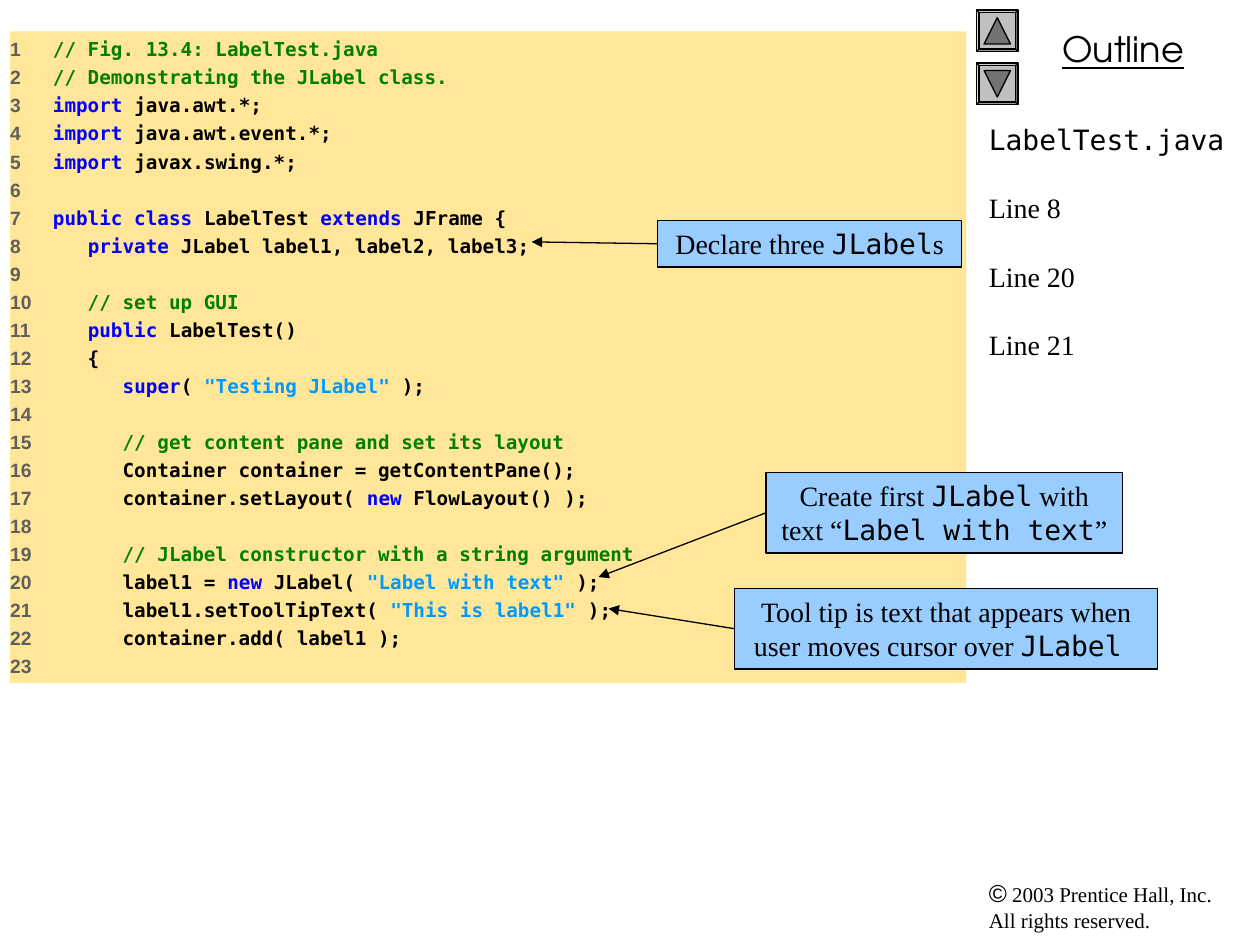
from pptx import Presentation
from pptx.dml.color import RGBColor
from pptx.enum.shapes import MSO_CONNECTOR, MSO_SHAPE
from pptx.enum.text import MSO_ANCHOR, PP_ALIGN
from pptx.oxml.ns import qn
from pptx.util import Inches, Pt
from lxml.etree import SubElement

MONO, SERIF, SANS, DISPLAY = "DejaVu Sans Mono", "Times New Roman", "Arial", "TeX Gyre Adventor"
BLACK, NUMBER, COMMENT, KEYWORD, STRING = "000000", "5F5F5F", "008000", "0000FF", "0099FF"
PANEL, CALLOUT, BUTTON, ARROW = "FFE699", "99CCFF", "C0C0C0", "737373"

CODE = """// Fig. 13.4: LabelTest.java
// Demonstrating the JLabel class.
|import| java.awt.*;
|import| java.awt.event.*;
|import| javax.swing.*;

|public class| LabelTest |extends| JFrame {
   |private| JLabel label1, label2, label3;

   // set up GUI
   |public| LabelTest()
   {
      |super|( "Testing JLabel" );

      // get content pane and set its layout
      Container container = getContentPane();
      container.setLayout( |new| FlowLayout() );

      // JLabel constructor with a string argument
      label1 = |new| JLabel( "Label with text" );
      label1.setToolTipText( "This is label1" );
      container.add( label1 );
"""

CALLOUTS = [
    ((5.22, 1.75, 2.41, 0.37), (4.22, 1.92),
     [("Declare three ", SERIF), ("JLabel", MONO), ("s", SERIF)]),
    ((6.08, 3.75, 2.83, 0.64), (4.75, 4.58),
     [("Create first ", SERIF), ("JLabel", MONO), (" with text “", SERIF),
      ("Label with text", MONO), ("”", SERIF)]),
    ((5.83, 4.67, 3.36, 0.64), (4.83, 4.83),
     [("Tool tip is text that appears when user moves cursor over ", SERIF),
      ("JLabel ", MONO)]),
]


def colour(value):
    return RGBColor.from_string(value)


def add_text(para, text, font=SERIF, size=16, fill=BLACK, bold=False, underline=False):
    span = para.add_run()
    span.text = text
    span.font.name = font
    span.font.size = Pt(size)
    span.font.bold = bold
    span.font.underline = underline
    span.font.color.rgb = colour(fill)


def highlight(line):
    if line.strip().startswith("//"):
        return [(line, COMMENT)]
    pieces = []
    for index, part in enumerate(line.split("|")):
        if index % 2:
            pieces.append((part, KEYWORD))
            continue
        for position, text in enumerate(part.split('"')):
            pieces.append((f'"{text}"', STRING) if position % 2 else (text, BLACK))
    return [piece for piece in pieces if piece[0]]


class SlideBuilder:
    line_width = Pt(0.75)

    def __init__(self, page):
        self.page = page

    def shape(self, kind, place, fill, line=None):
        box = self.page.shapes.add_shape(kind, *map(Inches, place))
        box.shadow.inherit = False
        box.fill.solid()
        box.fill.fore_color.rgb = colour(fill)
        if line:
            box.line.color.rgb = colour(line)
            box.line.width = self.line_width
        else:
            box.line.fill.background()
        box.text_frame.word_wrap = True
        box.text_frame.vertical_anchor = MSO_ANCHOR.TOP
        return box

    def text(self, place):
        box = self.page.shapes.add_textbox(*map(Inches, place))
        box.text_frame.word_wrap = True
        return box.text_frame

    def button(self, top, downward):
        bevel = self.shape(MSO_SHAPE.BEVEL, (7.75, top, 0.33, 0.33), BUTTON, BLACK)
        bevel.adjustments[0] = 0.06
        triangle = self.shape(MSO_SHAPE.ISOSCELES_TRIANGLE, (7.81, top + 0.06, 0.21, 0.21),
                              ARROW, BLACK)
        triangle.rotation = 180 if downward else 0

    def code(self, place, lines):
        frame = self.shape(MSO_SHAPE.RECTANGLE, place, PANEL).text_frame
        frame.margin_left = 0
        for number, line in enumerate(lines, 1):
            para = frame.paragraphs[0] if number == 1 else frame.add_paragraph()
            para.alignment = PP_ALIGN.LEFT
            para.line_spacing = Pt(13.2)
            para.space_before = Pt(0 if number == 1 else 2.8)
            tabs = SubElement(para._p.get_or_add_pPr(), qn("a:tabLst"))
            SubElement(tabs, qn("a:tab"), pos=str(Inches(0.34)), algn="l")
            add_text(para, f"{number}\t" if line else str(number),
                     font=SANS, size=11, fill=NUMBER, bold=True)
            for text, fill in highlight(line):
                add_text(para, text, font=MONO, size=11, fill=fill, bold=True)

    def callout(self, place, target, pieces):
        box = self.shape(MSO_SHAPE.RECTANGLE, place, CALLOUT, BLACK)
        para = box.text_frame.paragraphs[0]
        para.alignment = PP_ALIGN.CENTER
        for text, font in pieces:
            add_text(para, text, font=font)
        self.arrow(box, target)

    def arrow(self, box, target):
        end = [Inches(value) for value in target]
        arrow = self.page.shapes.add_connector(MSO_CONNECTOR.STRAIGHT, box.left, box.top, *end)
        arrow.begin_connect(box, 1)
        arrow.line.color.rgb = colour(BLACK)
        arrow.line.width = self.line_width
        SubElement(arrow.line._get_or_add_ln(), qn("a:tailEnd"), type="triangle")
        SubElement(arrow._element.spPr, qn("a:effectLst"))


def main():
    deck = Presentation()
    deck.slide_width, deck.slide_height = Inches(10), Inches(7.5)
    builder = SlideBuilder(deck.slides.add_slide(deck.slide_layouts[6]))

    copyright_line = builder.text((7.75, 6.92, 2.17, 0.54)).paragraphs[0]
    add_text(copyright_line, "©", font=SANS, size=14)
    add_text(copyright_line, " 2003 Prentice Hall, Inc.", size=12)
    copyright_line.add_line_break()
    add_text(copyright_line, "All rights reserved.", size=12)

    outline = builder.text((7.83, 0.17, 2.17, 0.44)).paragraphs[0]
    outline.alignment = PP_ALIGN.CENTER
    add_text(outline, "Outline", font=DISPLAY, size=20, underline=True)

    builder.button(0.08, downward=False)
    builder.button(0.5, downward=True)

    contents = builder.text((7.75, 0.92, 2.25, 6))
    add_text(contents.paragraphs[0], "LabelTest.java", font=MONO)
    for number in (8, 20, 21):
        para = contents.add_paragraph()
        para.space_before = Pt(20)
        add_text(para, f"Line {number}")

    builder.code((0.08, 0.25, 7.59, 5.17), CODE.split("\n"))
    for place, target, pieces in CALLOUTS:
        builder.callout(place, target, pieces)

    deck.save("out.pptx")


if __name__ == "__main__":
    main()
